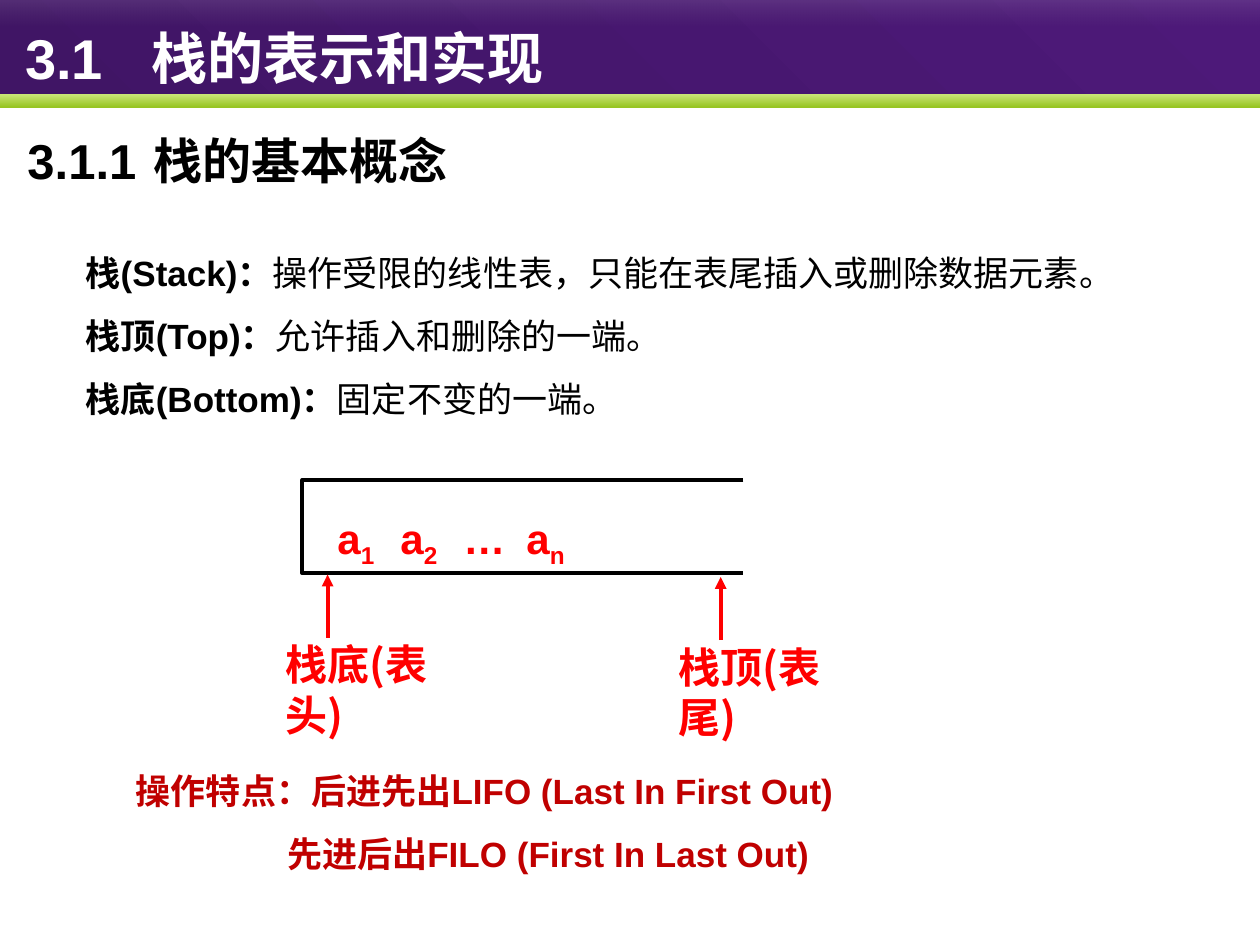
import pptx
import pptx.dml.color
import pptx.enum.dml
import pptx.enum.shapes
import pptx.enum.text
import pptx.oxml
import pptx.oxml.ns
import pptx.util
from lxml import etree

Inches = pptx.util.Inches
ANCHOR = pptx.enum.text.MSO_ANCHOR
COLORS = {
    "white": "FFFFFF", "black": "000000", "red": "FF0000", "crimson": "C00000",
    "violet_dark": "401565", "violet": "4D1979",
    "lime": "C9E576", "green": "97C523", "gray": "B6B6B6",
}


def rgb(name):
    return pptx.dml.color.RGBColor.from_string(COLORS[name])


def add_element(parent, tag, **attributes):
    child = etree.SubElement(parent, pptx.oxml.ns.qn(tag))
    for name, value in attributes.items():
        child.set(name, str(value))
    return child


def place(shape, left, top, width, height):
    shape.left, shape.top = Inches(left), Inches(top)
    shape.width, shape.height = Inches(width), Inches(height)


def add_band(page, top, height, stops, angle):
    """Full-width gradient strip; stops are (colour, opacity in percent)."""
    band = page.shapes.add_shape(
        pptx.enum.shapes.MSO_SHAPE.RECTANGLE,
        0, Inches(top), Inches(10), Inches(height))
    band.shadow.inherit = False
    band.line.fill.background()
    band.fill.gradient()
    gradient = band.fill._fill._gradFill
    for child in list(gradient):
        gradient.remove(child)
    stop_list = add_element(gradient, "a:gsLst")
    for position, (name, opacity) in zip((0, 100000), stops):
        stop = add_element(stop_list, "a:gs", pos=position)
        color = add_element(stop, "a:srgbClr", val=COLORS[name])
        if opacity < 100:
            add_element(color, "a:alpha", val=opacity * 1000)
    add_element(gradient, "a:lin", ang=angle * 60000, scaled=0)


def prepare_frame(box, anchor=ANCHOR.TOP):
    frame = box.text_frame
    frame.word_wrap = True
    frame.auto_size = pptx.enum.text.MSO_AUTO_SIZE.NONE
    frame.vertical_anchor = anchor
    return frame


def add_box(page, *bounds, anchor=ANCHOR.TOP):
    box = page.shapes.add_textbox(*(Inches(value) for value in bounds))
    return prepare_frame(box, anchor)


def write(para, spans, size, color, bold=True, font="Arial", indent=0, tabs=(),
          spacing=1.0):
    """Fill a paragraph with (text, run settings) spans."""
    para.alignment = pptx.enum.text.PP_ALIGN.LEFT
    para.line_spacing = spacing
    para.space_before = para.space_after = pptx.util.Pt(0)
    properties = para._p.get_or_add_pPr()
    properties.set("marL", str(Inches(indent)))
    properties.set("indent", "0")
    add_element(properties, "a:buNone")
    if tabs:
        tab_list = add_element(properties, "a:tabLst")
        for stop in tabs:
            add_element(tab_list, "a:tab", pos=Inches(stop), algn="l")
    para.font.name = font
    para.font.size = pptx.util.Pt(size)
    para.font.color.rgb = rgb(color)
    if bold is not None:
        para.font.bold = bold
    for text, settings in spans:
        span = para.add_run()
        span.text = text
        if "bold" in settings:
            span.font.bold = settings["bold"]
        if "baseline" in settings:
            span.font._element.set("baseline", str(settings["baseline"]))


def add_paragraph(frame, index):
    return frame.paragraphs[0] if index == 0 else frame.add_paragraph()


def add_headings(page):
    title = page.shapes.title
    place(title, 0.1, 0, 9.9, 0.9)
    write(prepare_frame(title, ANCHOR.MIDDLE).paragraphs[0],
          [("3.1\t栈的表示和实现", {})], 32, "white", tabs=[0.98])
    write(add_box(page, 0.12, 0.99, 6.06, 0.67).paragraphs[0],
          [("3.1.1\t栈的基本概念", {})], 28, "black", tabs=[1.17])


def add_definitions(page):
    body = page.placeholders[1]
    place(body, 0.32, 1.78, 9.35, 1.57)
    frame = prepare_frame(body)
    definitions = [
        ("栈(Stack)：", "操作受限的线性表，只能在表尾插入或删除数据元素。"),
        ("栈顶(Top)：", "允许插入和删除的一端。"),
        ("栈底(Bottom)：", "固定不变的一端。"),
    ]
    for index, (term, meaning) in enumerate(definitions):
        spans = [(term, {"bold": True}), (meaning, {"bold": False})]
        write(add_paragraph(frame, index), spans, 20, "black", bold=None,
              indent=0.26, spacing=1.5)


def add_stack(page):
    """Container open on the right, with its elements."""
    left, right, top, bottom = 2.4, 5.9, 3.81, 4.55
    builder = page.shapes.build_freeform(Inches(right), Inches(top))
    corners = [(left, top), (left, bottom), (right, bottom)]
    builder.add_line_segments(
        [(Inches(x), Inches(y)) for x, y in corners], close=False)
    outline = builder.convert_to_shape()
    outline.shadow.inherit = False
    outline.fill.background()
    outline.line.color.rgb = rgb("black")
    outline.line.width = pptx.util.Pt(2.25)

    frame = add_box(page, left, top, right - left, bottom - top,
                    anchor=ANCHOR.MIDDLE)
    low = {"baseline": -25000}
    spans = [("a", {}), ("1", low), ("\ta", {}), ("2", low),
             ("\t…\ta", {}), ("n", low)]
    write(frame.paragraphs[0], spans, 24, "red", indent=0.18,
          tabs=[0.97, 1.73, 2.43], spacing=1.5)


def add_pointer(page, x, tip, label):
    """Upward arrow with its label below."""
    tail = tip + 0.5
    arrow = page.shapes.add_connector(
        pptx.enum.shapes.MSO_CONNECTOR.STRAIGHT,
        Inches(x), Inches(tail), Inches(x), Inches(tip))
    arrow.line.color.rgb = rgb("red")
    arrow.line.width = pptx.util.Pt(2.25)
    add_element(arrow.line._get_or_add_ln(), "a:tailEnd", type="triangle")
    add_element(arrow._element.spPr, "a:effectLst")
    frame = add_box(page, x - 0.43, tail + 0.01, 1.74, 0.8)
    frame.margin_top = frame.margin_bottom = 0
    write(frame.paragraphs[0], [(label, {})], 24, "red",
          font="Noto Sans CJK SC")


def add_features(page):
    frame = add_box(page, 0.98, 5.89, 6.65, 1.04)
    features = [("操作特点：后进先出LIFO (Last In First Out)", 0),
                ("先进后出FILO (First In Last Out)", 1.2)]
    for index, (text, indent) in enumerate(features):
        write(add_paragraph(frame, index), [(text, {})], 20, "crimson",
              indent=indent, spacing=1.5)


def main():
    deck = pptx.Presentation()
    deck.slide_width, deck.slide_height = Inches(10), Inches(7.5)
    page = deck.slides.add_slide(deck.slide_layouts[1])
    add_band(page, -0.03, 0.78, [("violet_dark", 100), ("violet", 100)], 315)
    add_band(page, 0.75, 0.1, [("lime", 100), ("green", 100)], 90)
    add_band(page, -0.03, 0.24, [("white", 13), ("gray", 0)], 90)
    # Bring the placeholders in front of the bands.
    for holder in list(page.placeholders):
        page.shapes._spTree.append(holder._element)
    add_headings(page)
    add_definitions(page)
    add_stack(page)
    add_pointer(page, 2.6, 4.56, "栈底(表头)")
    add_pointer(page, 5.72, 4.58, "栈顶(表尾)")
    add_features(page)
    deck.save("out.pptx")


if __name__ == "__main__":
    main()
